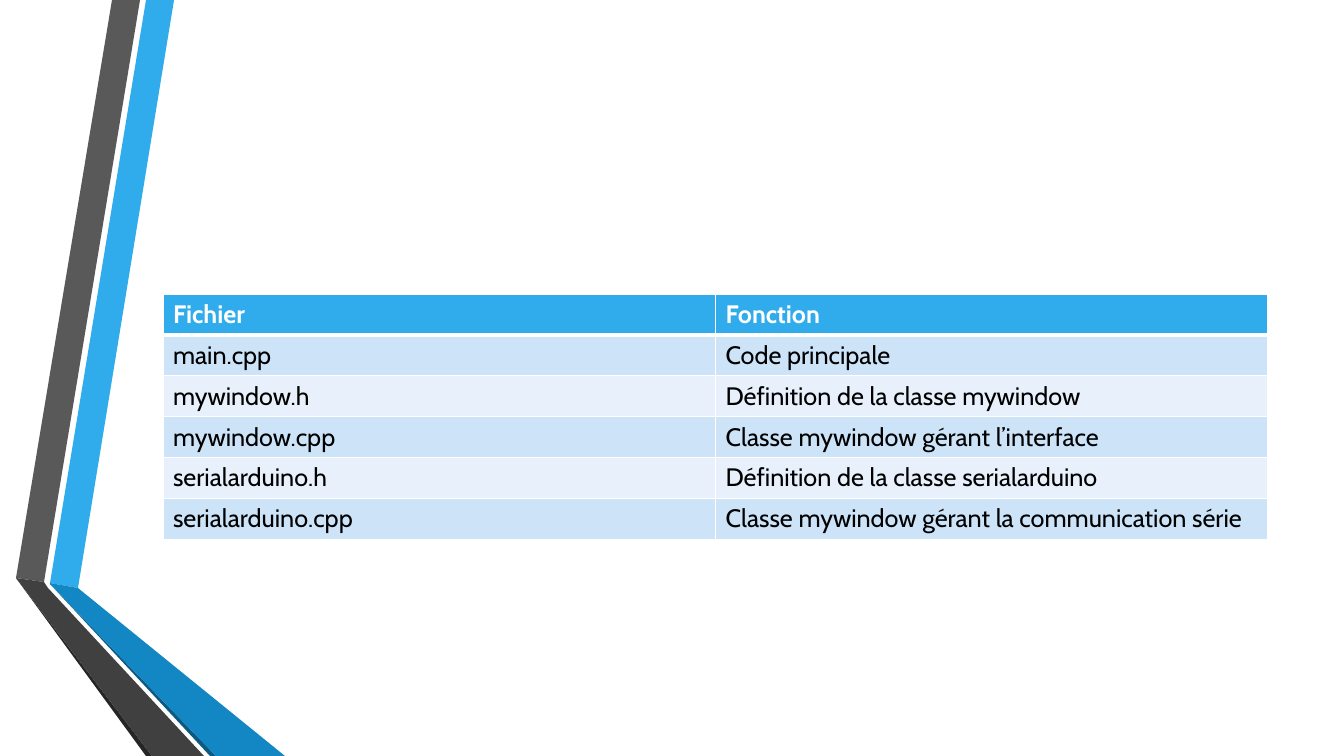
"""Build a slide with a table of source files beside a folded ribbon."""
from lxml import etree
from pptx import Presentation, util as u
from pptx.dml.color import RGBColor
from pptx.enum import text
from pptx.oxml.ns import qn

HUE = {
    "sky": "30ACEC", "blue": "1287C3", "navy": "0C5A82",
    "grey": "595959", "dark": "404040", "coal": "262626",
    "white": "FFFFFF", "black": "000000", "band": "CDE3F8", "pale": "E8F1FB",
}
ROWS = [
    ("Fichier", "Fonction"),
    ("main.cpp", "Code principale"),
    ("mywindow.h", "Définition de la classe mywindow"),
    ("mywindow.cpp", "Classe mywindow gérant l’interface"),
    ("serialarduino.h", "Définition de la classe serialarduino"),
    ("serialarduino.cpp", "Classe mywindow gérant la communication série"),
]
FOLDS = [
    ("sky", [(50, 583), (78, 588), (174, 0), (146, 0)]),
    ("grey", [(140, 0), (112, 0), (16, 578), (44, 582)]),
    ("coal", [(16, 578), (146, 756), (152, 756)]),
    ("navy", [(50, 584), (210, 756), (216, 756)]),
    ("blue", [(50, 584), (216, 756), (285, 756), (78, 588), (50, 583)]),
    ("dark", [(204, 756), (48, 588), (44, 582), (16, 578), (152, 756)]),
]
WIDE, HIGH = 1344, 756
LEFT, TOP, SPAN, TALL = 163, 294, 1105, 245
SCALE = 914400 / 100.8


def px(n):
    return u.Emu(round(n * SCALE))


def rgb(name):
    return RGBColor.from_string(HUE[name])


def paint(part, name):
    part.fill.solid()
    part.fill.fore_color.rgb = rgb(name)


def edge(cell, row):
    props = cell._tc.get_or_add_tcPr()
    bold = {"lnT": row == 1, "lnB": row == 0}
    for side in ("lnL", "lnR", "lnT", "lnB"):
        width = u.Pt(3 if bold.get(side) else 1)
        line = etree.SubElement(props, qn("a:" + side), w=str(width))
        fill = etree.SubElement(line, qn("a:solidFill"))
        etree.SubElement(fill, qn("a:srgbClr"), val=HUE["white"])


def fold(slide, name, spots):
    pen = slide.shapes.build_freeform(*spots[0], scale=SCALE)
    pen.add_line_segments(spots[1:], close=True)
    shape = pen.convert_to_shape()
    shape.shadow.inherit = False
    shape.line.fill.background()
    paint(shape, name)


def write(cell, words, row):
    head = row == 0
    edge(cell, row)
    paint(cell, "sky" if head else "band" if row % 2 else "pale")
    cell.vertical_anchor = text.MSO_ANCHOR.TOP
    run = cell.text_frame.paragraphs[0].add_run()
    run.text = words
    look = {"name": "Cabin", "size": u.Pt(18), "bold": head}
    for key, value in look.items():
        setattr(run.font, key, value)
    run.font.color.rgb = rgb("white" if head else "black")


deck = Presentation()
deck.slide_width, deck.slide_height = px(WIDE), px(HIGH)
slide = deck.slides.add_slide(deck.slide_layouts[6])
for name, spots in FOLDS:
    fold(slide, name, spots)

box = (px(n) for n in (LEFT, TOP, SPAN, TALL))
table = slide.shapes.add_table(len(ROWS), len(ROWS[0]), *box).table
for row, line in enumerate(ROWS):
    for col, words in enumerate(line):
        write(table.cell(row, col), words, row)

deck.save("out.pptx")
